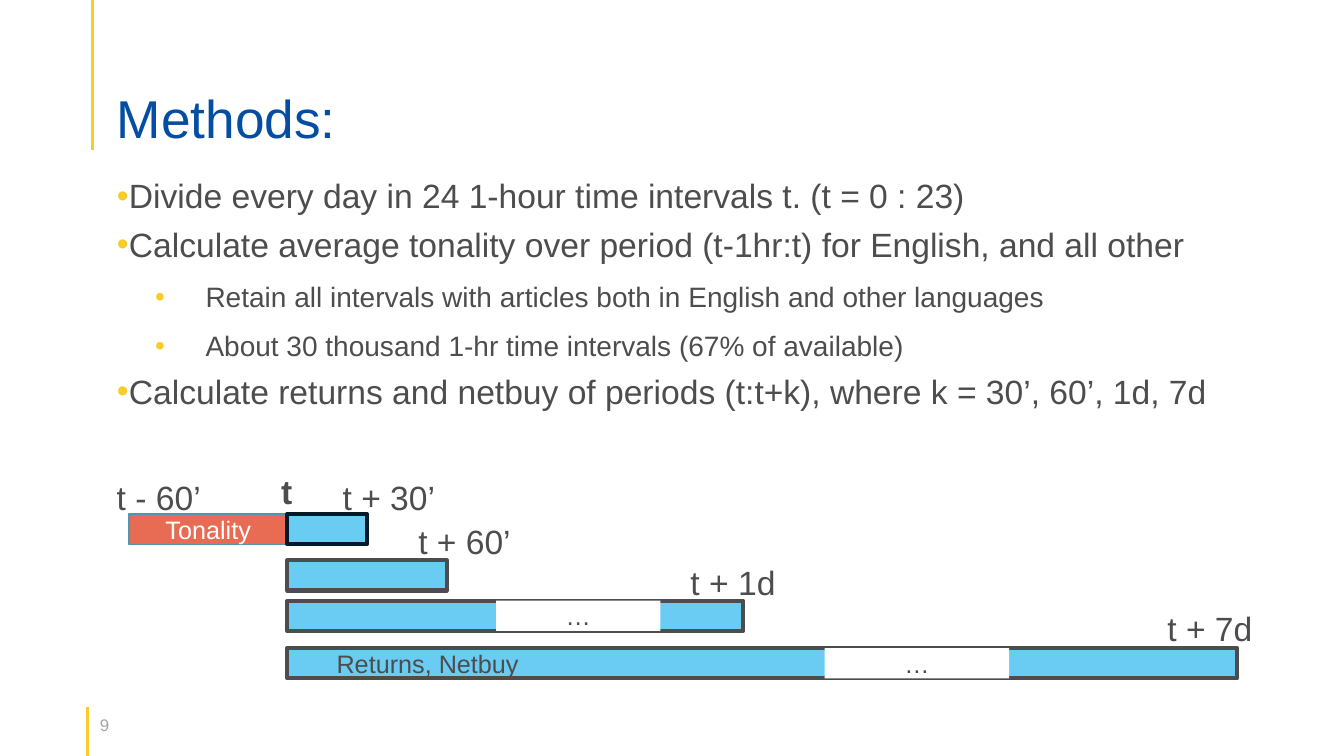
import pptx
import pptx.dml.color
import pptx.enum.shapes
import pptx.enum.text
import pptx.util
from lxml import etree
from pptx.oxml.ns import qn
from pptx.util import Inches, Pt

COLORS = {
    "yellow": "F8CC29", "title": "034EA2", "text": "4D4D4D", "number": "A6A6A6",
    "sky": "6ACBF3", "red": "E76C53", "teal": "4E96B4", "navy": "061928",
    "white": "FFFFFF",
}
ALIGN = pptx.enum.text.PP_ALIGN
ANCHOR = pptx.enum.text.MSO_ANCHOR

T = 2.85  # left edge of every return period
BAR_HEIGHT = 0.3

BULLETS = [  # level, text
    (0, "Divide every day in 24 1-hour time intervals t. (t = 0 : 23)"),
    (0, "Calculate average tonality over period (t-1hr:t) for English, and all other"),
    (1, "Retain all intervals with articles both in English and other languages"),
    (1, "About 30 thousand 1-hr time intervals (67% of available)"),
    (0, "Calculate returns and netbuy of periods (t:t+k), where k = 30’, 60’, 1d, 7d"),
]
LEVELS = [  # size, left margin, hanging indent, space before
    (24, 0.12, -0.12, 0),
    (20, 0.88, -0.5, 5),
]
BARS = [  # left, top, width, fill, line, line width, label
    (T, 5.96, 4.52, "sky", "text", 3, ""),
    (1.28, 5.1, T - 1.28, "red", "teal", 1, "Tonality"),
    (T, 5.56, 1.58, "sky", "text", 3, ""),
    (T, 5.1, 0.79, "sky", "navy", 3, ""),
    (T, 6.43, 9.42, "sky", "text", 3, ""),
    (4.92, 5.96, 1.63, "white", None, 0, "…"),
    (8.18, 6.43, 1.83, "white", None, 0, "…"),
]
LABELS = [  # left, top, width, height, text, size, bold
    (2.69, 4.62, 0.31, 0.5, "t", 24, True),
    (1.06, 4.68, 1.1, 0.3, "t - 60’", 24, False),
    (3.3, 4.68, 1.19, 0.3, "t + 30’", 24, False),
    (4.05, 5.12, 1.19, 0.3, "t + 60’", 24, False),
    (6.75, 5.53, 1.11, 0.3, "t + 1d", 24, False),
    (11.48, 5.98, 1.11, 0.3, "t + 7d", 24, False),
    (3.24, 6.38, 2.13, 0.24, "Returns, Netbuy", 18, False),
]


def rgb(name):
    return pptx.dml.color.RGBColor.from_string(COLORS[name])


def apply(target, values):
    for name, value in values.items():
        setattr(target, name, value)


def write(para, text, size, color="text", bold=False):
    span = para.add_run()
    span.text = text
    apply(span.font, {"name": "Arial", "size": Pt(size), "bold": bold})
    span.font.color.rgb = rgb(color)


def add_text(page, left, top, width, height, **frame_format):
    box = page.shapes.add_textbox(
        Inches(left), Inches(top), Inches(width), Inches(height))
    apply(box.text_frame, {"word_wrap": True, **frame_format})
    return box.text_frame


def add_accent(page, left, top, bottom):
    line = page.shapes.add_connector(
        pptx.enum.shapes.MSO_CONNECTOR.STRAIGHT,
        Inches(left), Inches(top), Inches(left), Inches(bottom))
    line.line.color.rgb = rgb("yellow")
    line.line.width = Pt(2.25)
    etree.SubElement(line.element.spPr, qn("a:effectLst"))


def add_bullets(page):
    frame = add_text(page, 1.06, 1.69, 11.52, 2.9)
    for index, (level, text) in enumerate(BULLETS):
        para = frame.add_paragraph() if index else frame.paragraphs[0]
        size, margin, indent, before = LEVELS[level]
        apply(para, {"level": level, "space_before": Pt(before), "space_after": Pt(6)})
        write(para, text, size)
        properties = para._p.get_or_add_pPr()
        properties.set("marL", str(Inches(margin)))
        properties.set("indent", str(Inches(indent)))
        bullet_color = etree.SubElement(properties, qn("a:buClr"))
        etree.SubElement(bullet_color, qn("a:srgbClr"), val=COLORS["yellow"])
        etree.SubElement(properties, qn("a:buFont"), typeface="Arial")
        etree.SubElement(properties, qn("a:buChar"), char="•")


def add_bar(page, left, top, width, fill, line, line_width, label):
    bar = page.shapes.add_shape(
        pptx.enum.shapes.MSO_SHAPE.RECTANGLE,
        Inches(left), Inches(top), Inches(width), Inches(BAR_HEIGHT))
    bar.shadow.inherit = False
    bar.fill.solid()
    bar.fill.fore_color.rgb = rgb(fill)
    if line:
        bar.line.color.rgb = rgb(line)
        bar.line.width = Pt(line_width)
    else:
        bar.line.fill.background()
    if label:
        bar.text_frame.vertical_anchor = ANCHOR.MIDDLE
        para = bar.text_frame.paragraphs[0]
        para.alignment = ALIGN.CENTER
        write(para, label, 18, "white" if fill == "red" else "text")


def main():
    deck = pptx.Presentation()
    apply(deck, {"slide_width": Inches(13.33), "slide_height": Inches(7.5)})
    page = deck.slides.add_slide(deck.slide_layouts[6])

    # Page number and accent lines
    number = add_text(page, 0.99, 7.04, 0.49, 0.3, margin_left=0, margin_right=0)
    write(number.paragraphs[0], "9", 12, "number")
    add_accent(page, 0.87, 7.01, 7.5)
    add_accent(page, 0.92, 0, 1.49)

    # Title and bullets
    title = add_text(page, 1.06, 0.63, 11.22, 0.86,
                     vertical_anchor=ANCHOR.BOTTOM, margin_bottom=0)
    title.paragraphs[0].line_spacing = 0.9
    write(title.paragraphs[0], "Methods:", 38, "title")
    add_bullets(page)

    # Timeline
    for bar in BARS:
        add_bar(page, *bar)
    for left, top, width, height, text, size, bold in LABELS:
        frame = add_text(page, left, top, width, height, word_wrap=False)
        write(frame.paragraphs[0], text, size, bold=bold)

    deck.save("out.pptx")


if __name__ == "__main__":
    main()
